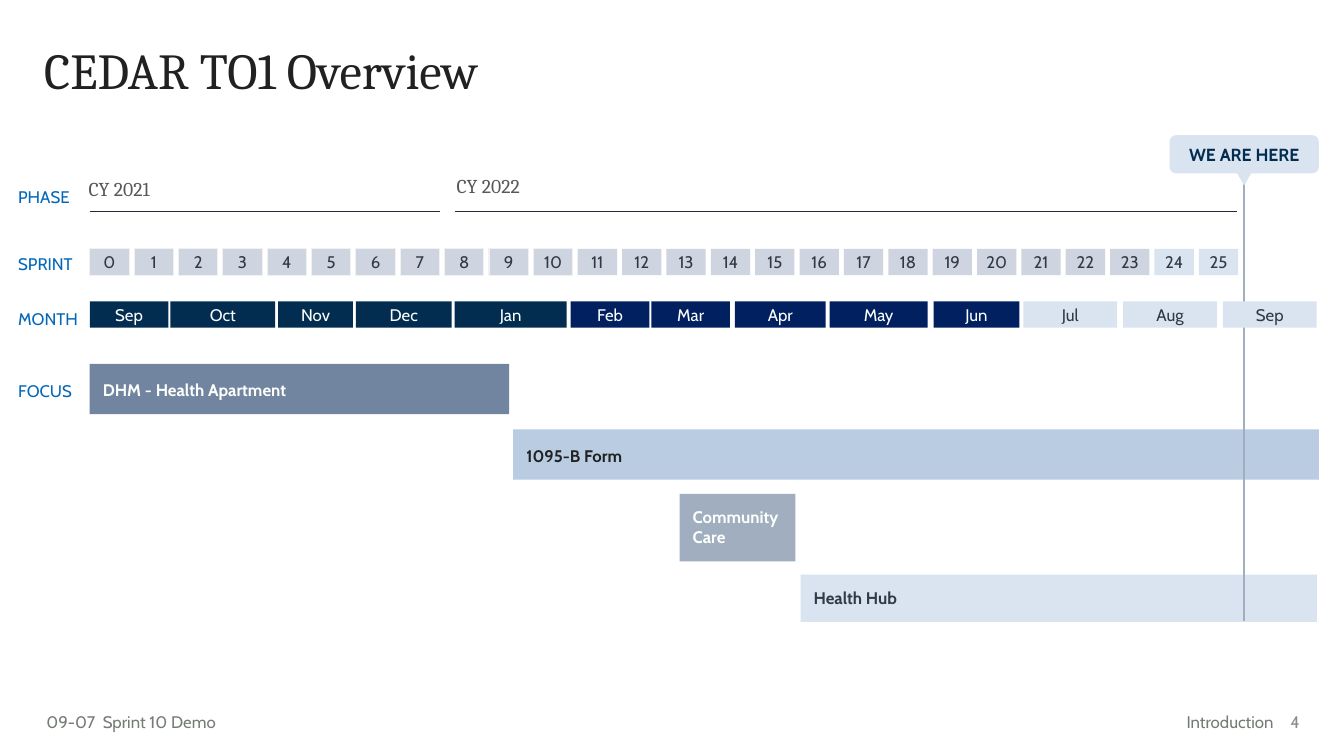
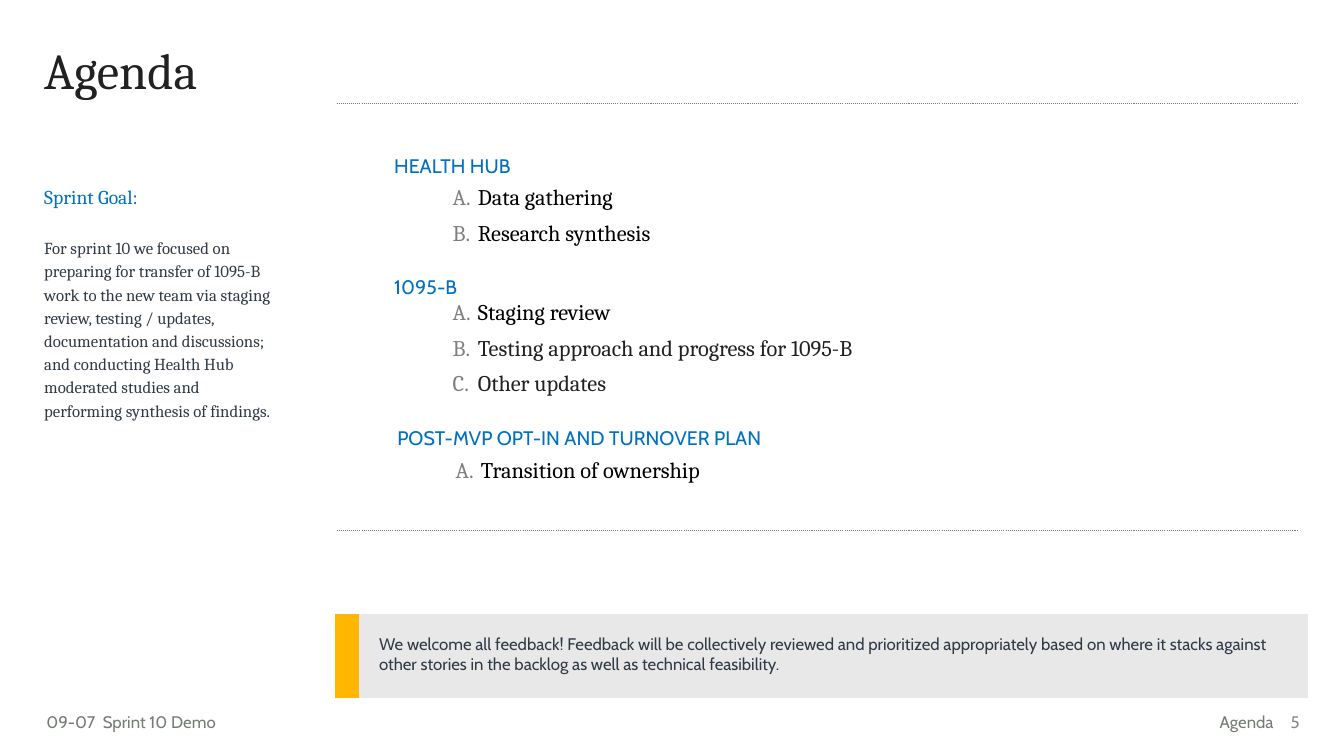
from typing import NamedTuple

from lxml.etree import SubElement
from pptx import Presentation
from pptx.dml.color import RGBColor as Rgb
from pptx.enum.dml import MSO_LINE as Dash
from pptx.enum.shapes import MSO_CONNECTOR as Link, MSO_SHAPE as Form
from pptx.enum.text import MSO_ANCHOR as Anchor, PP_ALIGN as Align
from pptx.oxml.ns import qn
from pptx.util import Inches, Pt

COLS, ROWS = 133.3, 75
SANS, SERIF = "Cabin", "Cambria"
PLAIN = "{2D5ABB26-0587-4C30-8999-92F81FD0307C}"
INK = {
    "title": "202120", "text": "303A46", "black": "000000", "white": "FDFFFD",
    "year": "565956", "label": "0467B8", "head": "0071BF", "foot": "747C74",
    "page": "8A8A8A", "mark": "7F7F7F", "rule": "232B34", "edge": "F0F1F0",
    "past": "022D50", "near": "002060", "next": "DAE4F0", "sprint": "CED5E0",
    "slate": "7185A0", "sky": "B9CCE2", "mist": "A1AEBF",
    "gold": "FEB600", "panel": "E8E8E8",
}
MONTHS = [
    ("Sep", 0, 7.8, "past"), ("Oct", 8, 10.4, "past"),
    ("Nov", 18.7, 7.4, "past"), ("Dec", 26.4, 9.5, "past"),
    ("Jan", 36.2, 11.1, "past"), ("Feb", 47.7, 7.8, "near"),
    ("Mar", 55.7, 7.8, "near"), ("Apr", 64, 9, "near"),
    ("May", 73.4, 9.7, "near"), ("Jun", 83.7, 8.5, "near"),
    ("Jul", 92.6, 9.3, "next"), ("Aug", 102.5, 9.3, "next"),
    ("Sep", 112.4, 9.3, "next"),
]
BARS = [
    ("DHM - Health Apartment", 0, 0, 41.6, 5, "slate", "white", 1.15),
    ("1095-B Form", 42, 6.5, 79.9, 5, "sky", "title", 1.15),
    ("Community Care", 58.5, 12.9, 11.5, 6.7, "mist", "white", None),
    ("Health Hub", 70.5, 20.9, 51.2, 4.7, "next", "text", None),
]
GOAL = (
    "For sprint 10 we focused on preparing for transfer of 1095-B work to the "
    "new team via staging review, testing / updates, documentation and "
    "discussions; and conducting Health Hub moderated studies and performing "
    "synthesis of findings."
)
NOTE = (
    "We welcome all feedback! Feedback will be collectively reviewed and "
    "prioritized appropriately based on where it stacks against other stories "
    "in the backlog as well as technical feasibility."
)
TOPICS = [
    (0, 0, 3.4, "HEALTH HUB",
     [("Data gathering", "black"), ("Research synthesis", "black")]),
    (0, 12, 2.8, "1095-B",
     [("Staging review", "black"),
      ("Testing approach and progress for 1095-B", "title"),
      ("Other updates", "title")]),
    (0.3, 27, 3.4, "POST-MVP OPT-IN AND TURNOVER PLAN",
     [("Transition of ownership", "black")]),
]


class Box(NamedTuple):
    x: float
    y: float
    w: float
    h: float

    def sub(self, x, y, w, h):
        return Box(self.x + x, self.y + y, w, h)

    def size(self):
        return [cell(n) for n in self]


def cell(n):
    return Inches(n / 10)


def tint(name):
    return Rgb.from_string(INK[name])


def style(para, size, ink, face=SANS, bold=None, align=None, space=None):
    if align is not None:
        para.alignment = align
    if space:
        para.line_spacing = space
    font = para.font
    font.size, font.name, font.bold = Pt(size), face, bold
    font.color.rgb = tint(ink)


def pad(frame, left, top, right, low):
    frame.margin_left, frame.margin_top = cell(left), cell(top)
    frame.margin_right, frame.margin_bottom = cell(right), cell(low)


def write(slide, box, text, size, ink, pads=(1, 0.5, 1, 0.5), **look):
    frame = slide.shapes.add_textbox(*box.size()).text_frame
    frame.word_wrap = True
    pad(frame, *pads)
    para = frame.paragraphs[0]
    para.text = text
    style(para, size, ink, **look)
    return frame


def block(slide, box, fill, form=Form.RECTANGLE, edge=None):
    shape = slide.shapes.add_shape(form, *box.size())
    shape.shadow.inherit = False
    shape.fill.solid()
    shape.fill.fore_color.rgb = tint(fill)
    if edge:
        shape.line.color.rgb = tint(edge)
        shape.line.width = Pt(0.75)
    else:
        shape.line.fill.background()
    return shape


def tile(slide, box, text, fill, ink, gap=0.3, size=12, bold=None,
         align=Align.CENTER, space=None, anchor=Anchor.TOP,
         form=Form.RECTANGLE, edge=None):
    shape = block(slide, box, fill, form, edge)
    frame = shape.text_frame
    frame.word_wrap = True
    frame.vertical_anchor = anchor
    pad(frame, gap, gap, gap, gap)
    para = frame.paragraphs[0]
    para.text = text
    style(para, size, ink, bold=bold, align=align, space=space)
    return shape


def rule(slide, x, y, right, low, ink, width=0.75, dash=None):
    line = slide.shapes.add_connector(
        Link.STRAIGHT, cell(x), cell(y), cell(right), cell(low))
    line.line.color.rgb = tint(ink)
    line.line.width = Pt(width)
    if dash:
        line.line.dash_style = dash
    SubElement(line._element.spPr, qn("a:effectLst"))
    return line


def base(deck, title, part, page):
    slide = deck.slides.add_slide(deck.slide_layouts[6])
    write(slide, Box(3.4, 4.1, 124.2, 8.2), title, 36, "title",
          face=SERIF, space=0.9)
    foot(slide, Box(4.6, 69.6, COLS - 8, 4), part, page)
    return slide


def foot(slide, box, part, page):
    frame = write(slide, box.sub(0, 0.5, 29.8, 3), "", 12, "foot",
                  (0, 0.5, 1, 0.5))
    para = frame.paragraphs[0]
    para.text = "09-07\tSprint 10 Demo"
    props = para._p.get_or_add_pPr()
    tabs = props.makeelement(qn("a:tabLst"), {})
    SubElement(tabs, qn("a:tab"), pos=str(cell(5.6)), algn="l")
    props.insert(0, tabs)
    write(slide, box.sub(92.9, 0.5, 29.8, 3), part, 12, "foot",
          align=Align.RIGHT)
    num = write(slide, box.sub(120.9, 0, 4.4, 4), str(page), 12, "page",
                align=Align.RIGHT)
    num.vertical_anchor = Anchor.MIDDLE


def labels(slide, box):
    for name, y in ("PHASE", 0), ("SPRINT", 6.7), ("MONTH", 12.1), ("FOCUS", 19.3):
        write(slide, box.sub(0, y, box.w, 2), name, 12, "label", (0, 0, 0, 0))


def years(slide, box):
    for name, x, y, left, right in (
            ("CY 2021", -1.1, 0.3, 0, 34.7), ("CY 2022", 35.4, 0, 36.2, box.w)):
        write(slide, box.sub(x, y, 30, 3.4), name, 14, "year", face=SERIF)
        low = box.y + box.h
        rule(slide, box.x + left, low, box.x + right, low, "rule")


def sprints(slide, box, count=26):
    step = (box.w + 0.5) / count
    for i in range(count):
        tile(slide, box.sub(i * step, 0, step - 0.5, box.h), str(i),
             "sprint" if i < 24 else "next", "text",
             edge="edge" if i < 11 else None)


def months(slide, box):
    for name, x, width, fill in MONTHS:
        tile(slide, box.sub(x, 0, width, box.h), name, fill,
             "text" if fill == "next" else "white")


def focus(slide, box):
    for name, x, y, width, high, fill, ink, space in BARS:
        tile(slide, box.sub(x, y, width, high), name, fill, ink, 1.3,
             bold=True, align=Align.LEFT, space=space)


def here(slide, box, low):
    sign = tile(slide, box, "WE ARE HERE", "next", "past", 0.5, 12.5, True,
                anchor=Anchor.MIDDLE, form=Form.ROUNDED_RECTANGLE)
    sign.adjustments[0] = 0.17
    mid = box.x + box.w / 2
    line = rule(slide, mid, box.y + box.h, mid, low, "mist", 1)
    line.begin_connect(sign, 2)
    tip = block(slide, box.sub(box.w / 2 - 0.75, box.h - 0.1, 1.5, 1.3),
                "next", Form.ISOSCELES_TRIANGLE)
    tip.rotation = 180


def overview(deck):
    slide = base(deck, "CEDAR TO1 Overview", "Introduction", 4)
    labels(slide, Box(1.8, 18.5, 7.8, 21.3))
    years(slide, Box(8.9, 16.8, 113.8, 4.2))
    sprints(slide, Box(8.9, 24.7, 113.9, 2.6))
    focus(slide, Box(8.9, 36.1, 121.9, 25.6))
    here(slide, Box(116, 13.4, 14.8, 3.8), 61.6)
    months(slide, Box(8.9, 29.9, 121.7, 2.6))


def goal(slide, box):
    frame = write(slide, box, "Sprint Goal:", 14, "head", face=SERIF, space=1.15)
    para = frame.add_paragraph()
    para.text = GOAL
    para.space_before = Pt(19)
    style(para, 12, "text", SERIF, space=1.15)


def letter(para):
    props = para._p.get_or_add_pPr()
    props.set("marL", str(cell(2.5)))
    props.set("indent", str(cell(-2.5)))
    color = SubElement(props, qn("a:buClr"))
    SubElement(color, qn("a:srgbClr"), val=INK["mark"])
    SubElement(props, qn("a:buAutoNum"), type="alphaUcPeriod")


def topics(slide, box):
    for x, y, drop, head, items in TOPICS:
        write(slide, box.sub(x, y, 52.8, 4), head, 14, "head", (0, 0.5, 0, 0.5))
        area = box.sub(x + 5.8, y + drop, 68, 3.5 * len(items))
        frame = slide.shapes.add_textbox(*area.size()).text_frame
        frame.word_wrap = True
        pad(frame, 0, 0, 0, 0)
        for i, (text, ink) in enumerate(items):
            para = frame.add_paragraph() if i else frame.paragraphs[0]
            para.text = text
            letter(para)
            if i:
                para.space_before = Pt(6)
            style(para, 16, ink, SERIF)


def notice(slide, box):
    table = slide.shapes.add_table(1, 2, *box.size()).table
    table.first_row = table.horz_banding = False
    table._tbl.tblPr.find(qn("a:tableStyleId")).text = PLAIN
    table.columns[0].width = cell(1.3)
    table.columns[1].width = cell(box.w - 1.3)
    for i, fill in enumerate(("gold", "panel")):
        part = table.cell(0, i)
        part.fill.solid()
        part.fill.fore_color.rgb = tint(fill)
    pad(part, 2, 2, 2, 2)
    para = part.text_frame.paragraphs[0]
    para.text = NOTE
    style(para, 12, "text")


def agenda(deck):
    slide = base(deck, "Agenda", "Agenda", 5)
    goal(slide, Box(3.4, 17.5, 25.1, 39.1))
    for y in (10.3, 52.6):
        rule(slide, 33.4, y, 128.6, y, "foot", dash=Dash.ROUND_DOT)
    topics(slide, Box(39.1, 14.8, 74, 33))
    notice(slide, Box(33.2, 60.9, 95.4, 8.3))


def main():
    deck = Presentation()
    deck.slide_width, deck.slide_height = cell(COLS), cell(ROWS)
    overview(deck)
    agenda(deck)
    deck.save("out.pptx")


if __name__ == "__main__":
    main()
